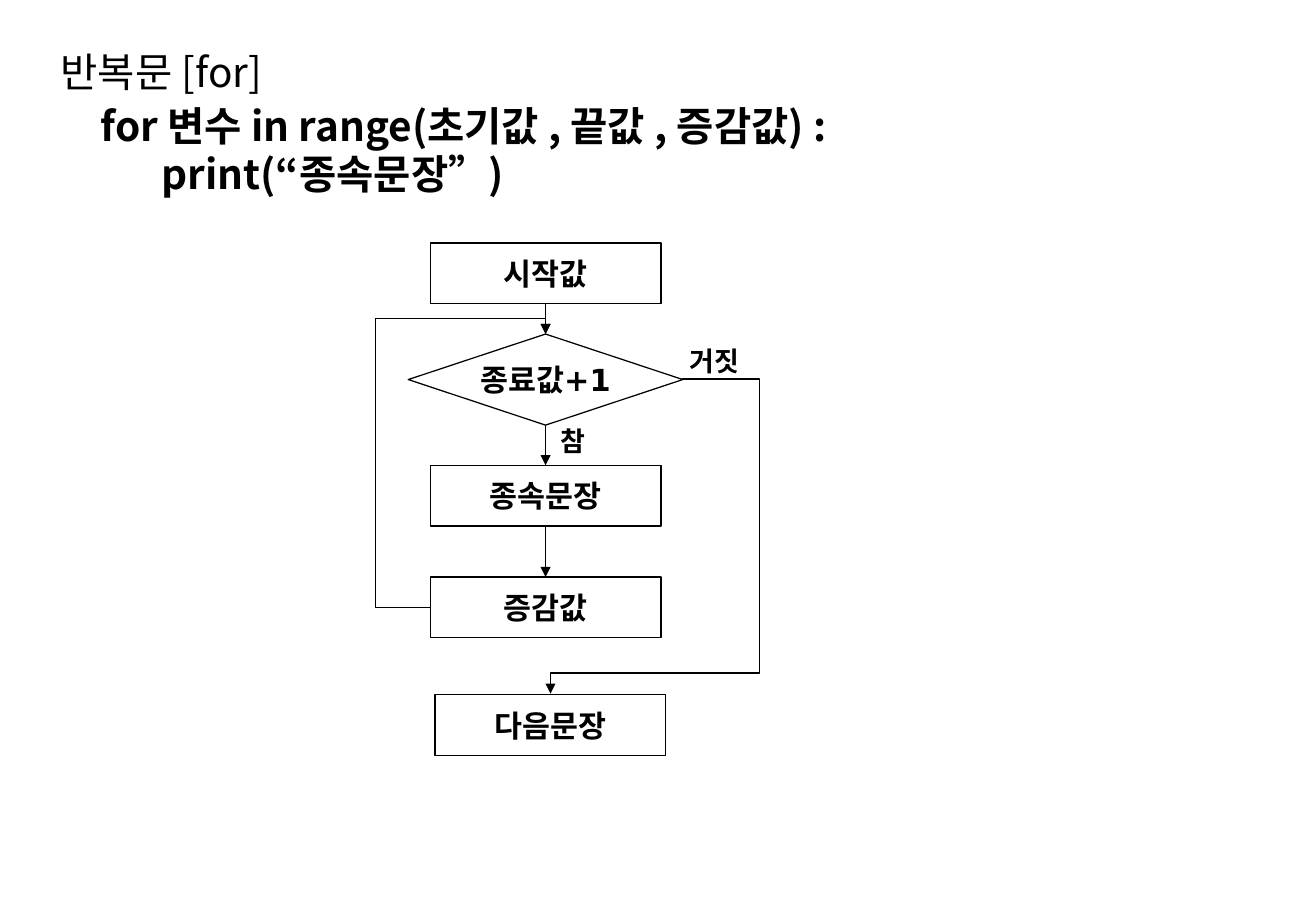
from dataclasses import dataclass

from lxml import etree
from pptx import Presentation
from pptx.dml.color import RGBColor
from pptx.enum.shapes import MSO_CONNECTOR, MSO_SHAPE
from pptx.enum.text import MSO_ANCHOR, MSO_AUTO_SIZE, PP_ALIGN
from pptx.oxml.ns import qn
from pptx.util import Inches, Pt

PROCESS = MSO_SHAPE.FLOWCHART_PROCESS
DECISION = MSO_SHAPE.FLOWCHART_DECISION
STRAIGHT, ELBOW = MSO_CONNECTOR.STRAIGHT, MSO_CONNECTOR.ELBOW
LEFT, CENTER = PP_ALIGN.LEFT, PP_ALIGN.CENTER
TOP, MIDDLE = MSO_ANCHOR.TOP, MSO_ANCHOR.MIDDLE
TOP_SIDE, LEFT_SIDE, BOTTOM_SIDE = 0, 1, 2

BLACK = "000000"
HEADING_FONT = "Noto Sans CJK KR"
CHART_FONT = "DejaVu Sans"


@dataclass
class Step:
    text: str
    center: float
    top: float
    kind: MSO_SHAPE = PROCESS
    width: float = 1.9
    height: float = 0.5


@dataclass
class Label:
    text: str
    left: float
    top: float
    width: float


def color(value: str) -> RGBColor:
    return RGBColor.from_string(value)


def place(shape, left: float, top: float, width: float, height: float) -> None:
    shape.left, shape.top = Inches(left), Inches(top)
    shape.width, shape.height = Inches(width), Inches(height)


def write(shape, text: str, *, size: int, font: str, bold: bool = True,
          align=CENTER, anchor=MIDDLE, wrap: bool = False,
          line_spacing: float = 1.0, gap: float = 0, tab: float = 0) -> None:
    """Fill a shape with one paragraph for each line of text."""
    frame = shape.text_frame
    frame.auto_size = MSO_AUTO_SIZE.NONE
    frame.word_wrap = wrap
    frame.vertical_anchor = anchor
    for index, line in enumerate(text.split("\n")):
        paragraph = frame.paragraphs[0] if index == 0 else frame.add_paragraph()
        properties = paragraph._p.get_or_add_pPr()
        properties.set("marL", "0")
        properties.set("indent", "0")
        etree.SubElement(properties, qn("a:buNone"))
        if tab:
            tabs = etree.SubElement(properties, qn("a:tabLst"))
            etree.SubElement(tabs, qn("a:tab"), pos=str(Inches(tab)), algn="l")
        paragraph.alignment = align
        paragraph.line_spacing = line_spacing
        paragraph.space_before = Pt(gap if index else 0)
        run = paragraph.add_run()
        run.text = line
        run.font.size, run.font.bold, run.font.name = Pt(size), bold, font
        run.font.color.rgb = color(BLACK)
        etree.SubElement(run._r.get_or_add_rPr(), qn("a:ea"), typeface=font)


def outline(shape, arrow: bool = False) -> None:
    shape.line.color.rgb = color(BLACK)
    shape.line.width = Pt(0.75)
    if arrow:
        etree.SubElement(shape.line._get_or_add_ln(), qn("a:tailEnd"), type="triangle")


def add_step(slide, step: Step):
    shape = slide.shapes.add_shape(
        step.kind, Inches(step.center - step.width / 2), Inches(step.top),
        Inches(step.width), Inches(step.height))
    shape.shadow.inherit = False
    shape.fill.background()
    outline(shape)
    write(shape, step.text, size=18, font=CHART_FONT)
    return shape


def join(slide, start, start_side: int, end, end_side: int, kind=STRAIGHT):
    connector = slide.shapes.add_connector(kind, 0, 0, 0, 0)
    connector.begin_connect(start, start_side)
    connector.end_connect(end, end_side)
    outline(connector, arrow=True)
    etree.SubElement(connector._element.spPr, qn("a:effectLst"))
    return connector


def add_path(slide, points: list[tuple[float, float]]) -> None:
    corners = [(Inches(x), Inches(y)) for x, y in points]
    builder = slide.shapes.build_freeform(*corners[0])
    builder.add_line_segments(corners[1:], close=False)
    shape = builder.convert_to_shape()
    shape.shadow.inherit = False
    shape.fill.background()
    outline(shape, arrow=True)


def add_label(slide, label: Label) -> None:
    box = slide.shapes.add_textbox(0, 0, 0, 0)
    place(box, label.left, label.top, label.width, 0.37)
    write(box, label.text, size=16, font=CHART_FONT, anchor=TOP)


def main() -> None:
    presentation = Presentation()
    presentation.slide_width = Inches(10.83)
    presentation.slide_height = Inches(7.5)
    slide = presentation.slides.add_slide(presentation.slide_layouts[1])

    # Title and syntax
    title, syntax = slide.placeholders
    place(title, 0.4, 0.32, 6.26, 0.54)
    write(title, "반복문 [for]", size=24, font=HEADING_FONT, bold=False,
          align=LEFT, wrap=True)
    place(syntax, 0.73, 0.84, 9.33, 5.58)
    write(syntax, "for 변수 in range(초기값 , 끝값 , 증감값) :\n\tprint(“종속문장”)",
          size=24, font=HEADING_FONT, align=LEFT, anchor=TOP, wrap=True,
          line_spacing=0.85, gap=4, tab=1)

    # Flowchart steps
    axis = 4.49
    start, test, body, increment, _ = [add_step(slide, step) for step in (
        Step("시작값", axis, 2),
        Step("종료값+1", axis, 2.75, DECISION, 2.26, 0.75),
        Step("종속문장", axis, 3.83),
        Step("증감값", axis, 4.75),
        Step("다음문장", 4.53, 5.72),
    )]

    # Downward arrows
    for upper, lower in ((start, test), (test, body), (body, increment)):
        join(slide, upper, BOTTOM_SIDE, lower, TOP_SIDE)

    # Loop back to the test
    loop = join(slide, increment, LEFT_SIDE, test, TOP_SIDE, ELBOW)
    geometry = loop._element.spPr.find(qn("a:prstGeom"))
    geometry.set("prst", "bentConnector4")
    adjustments = geometry.find(qn("a:avLst"))
    for name, value in (("adj1", -47600), ("adj2", 105600)):
        etree.SubElement(adjustments, qn("a:gd"), name=name, fmla=f"val {value}")

    # Exit when the test is false
    add_path(slide, [(5.61, 3.12), (6.25, 3.12), (6.25, 5.54), (4.53, 5.54), (4.53, 5.71)])

    # Branch labels
    for label in (Label("거짓", 5.56, 2.79, 0.64), Label("참", 4.5, 3.45, 0.42)):
        add_label(slide, label)

    presentation.save("out.pptx")


if __name__ == "__main__":
    main()
